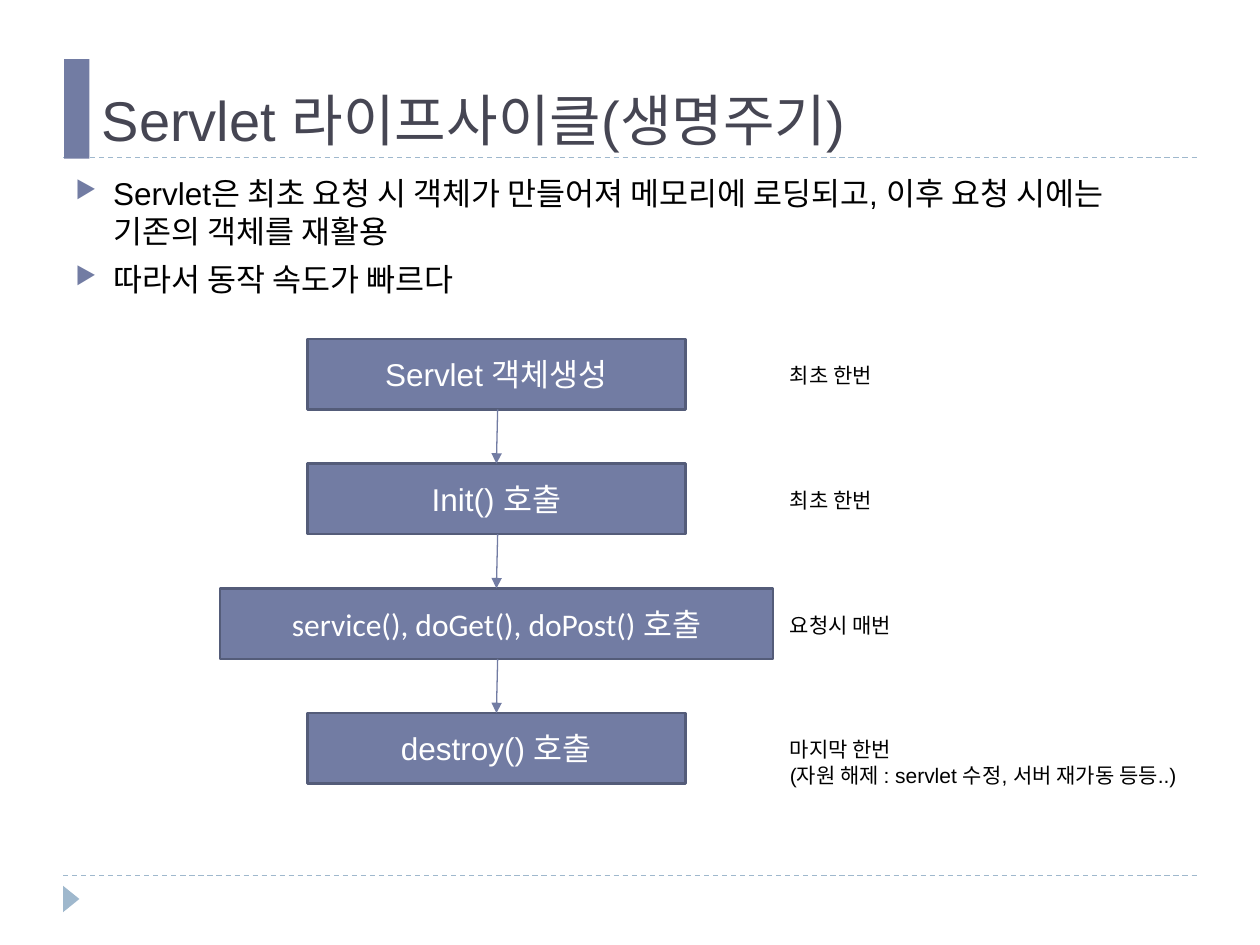
from dataclasses import dataclass

from lxml.etree import SubElement
from pptx import Presentation
from pptx.dml.color import RGBColor
from pptx.enum.dml import MSO_LINE
from pptx.enum.shapes import MSO_CONNECTOR, MSO_SHAPE
from pptx.enum.text import MSO_ANCHOR, PP_ALIGN
from pptx.oxml.ns import qn
from pptx.shapes.autoshape import Shape
from pptx.shapes.connector import Connector
from pptx.slide import Slide
from pptx.util import Inches, Pt


@dataclass(frozen=True)
class Theme:
    """Colours, fonts and type sizes of the slide."""
    accent: str = "727CA3"
    outline: str = "545C79"
    pale: str = "9FB8CD"
    heading: str = "464653"
    ink: str = "000000"
    paper: str = "FFFFFF"
    font: str = "Arial"
    code_font: str = "Calibri"
    title_size: int = 32
    body_size: int = 18
    note_size: int = 12


@dataclass(frozen=True)
class Stage:
    """One step of the life cycle and how often it runs."""
    call: str
    frequency: str
    width: float = 3
    note_width: float = 0.93
    note_height: float = 0.3
    font: str = "Arial"


THEME = Theme()
STAGES = [
    Stage("Servlet 객체생성", "최초 한번"),
    Stage("Init() 호출", "최초 한번"),
    Stage("service(), doGet(), doPost() 호출", "요청시 매번", 4.39, 1.26,
          font=THEME.code_font),
    Stage("destroy() 호출",
          "마지막 한번\n(자원 해제 : servlet 수정, 서버 재가동 등등..)",
          note_width=3.39, note_height=0.71),
]
POINTS = [
    "Servlet은 최초 요청 시 객체가 만들어져 메모리에 로딩되고, "
    "이후 요청 시에는 기존의 객체를 재활용",
    "따라서 동작 속도가 빠르다",
]
FLOW_CENTER, FLOW_TOP, STAGE_STEP, STAGE_HEIGHT = 3.94, 2.69, 0.99, 0.56
NOTE_LEFT, NOTE_DROP = 6.17, 0.14


def rgb(code: str) -> RGBColor:
    """Turn a hex code into a colour."""
    return RGBColor.from_string(code)


def write(holder: Shape, text: str, size: int, color: str,
          font: str = THEME.font) -> None:
    """Put text in a shape and format all its runs."""
    frame = holder.text_frame
    frame.text = text
    frame.word_wrap = True
    for paragraph in frame.paragraphs:
        for run in paragraph.runs:
            run.font.size = Pt(size)
            run.font.name = font
            run.font.color.rgb = rgb(color)


def add_text(slide: Slide, left: float, top: float, width: float,
             height: float, text: str, size: int, color: str) -> Shape:
    """Add a wrapped text box."""
    box = slide.shapes.add_textbox(
        Inches(left), Inches(top), Inches(width), Inches(height))
    write(box, text, size, color)
    return box


def add_block(slide: Slide, kind: MSO_SHAPE, left: float, top: float,
              width: float, height: float, fill: str) -> Shape:
    """Add a flat shape without an outline."""
    block = slide.shapes.add_shape(
        kind, Inches(left), Inches(top), Inches(width), Inches(height))
    block.shadow.inherit = False
    block.fill.solid()
    block.fill.fore_color.rgb = rgb(fill)
    block.line.fill.background()
    return block


def add_line(slide: Slide, x1: float, y1: float, x2: float, y2: float,
             color: str) -> Connector:
    """Add a thin straight line without a shadow."""
    line = slide.shapes.add_connector(
        MSO_CONNECTOR.STRAIGHT, Inches(x1), Inches(y1), Inches(x2), Inches(y2))
    line.line.color.rgb = rgb(color)
    line.line.width = Pt(0.75)
    SubElement(line.element.spPr, qn("a:effectLst"))
    return line


def add_frame(slide: Slide) -> None:
    """Draw the rules, the title bar and the corner marker."""
    for y in (6.95, 1.25):
        rule = add_line(slide, 0.5, y, 9.5, y, THEME.pale)
        rule.line.dash_style = MSO_LINE.DASH
    marker = add_block(slide, MSO_SHAPE.ISOSCELES_TRIANGLE,
                       0.46, 7.07, 0.21, 0.13, THEME.pale)
    marker.rotation = 90
    add_block(slide, MSO_SHAPE.RECTANGLE, 0.51, 0.47, 0.2, 0.79, THEME.accent)


def add_points(slide: Slide) -> None:
    """Write the bulleted explanation."""
    body = add_text(slide, 0.5, 1.33, 9, 1.2, "\n".join(POINTS),
                    THEME.body_size, THEME.ink)
    for paragraph in body.text_frame.paragraphs:
        paragraph.space_before = Pt(6)
        props = paragraph._p.get_or_add_pPr()
        props.set("marL", str(Inches(0.3)))
        props.set("indent", str(-Inches(0.3)))
        tint = SubElement(props, qn("a:buClr"))
        SubElement(tint, qn("a:srgbClr"), val=THEME.accent)
        SubElement(props, qn("a:buSzPct"), val="76000")
        SubElement(props, qn("a:buChar"), char="▶")


def add_stage(slide: Slide, stage: Stage, top: float) -> None:
    """Draw a stage box with its note on the right."""
    box = add_block(slide, MSO_SHAPE.RECTANGLE, FLOW_CENTER - stage.width / 2,
                    top, stage.width, STAGE_HEIGHT, THEME.accent)
    box.line.color.rgb = rgb(THEME.outline)
    box.line.width = Pt(1.5)
    write(box, stage.call, THEME.body_size, THEME.paper, stage.font)
    box.text_frame.vertical_anchor = MSO_ANCHOR.MIDDLE
    box.text_frame.paragraphs[0].alignment = PP_ALIGN.CENTER
    add_text(slide, NOTE_LEFT, top + NOTE_DROP, stage.note_width,
             stage.note_height, stage.frequency, THEME.note_size, THEME.ink)


def add_arrow(slide: Slide, top: float) -> None:
    """Draw the arrow that leads down to the stage at top."""
    arrow = add_line(slide, FLOW_CENTER + 0.01,
                     top - STAGE_STEP + STAGE_HEIGHT, FLOW_CENTER, top,
                     THEME.accent)
    SubElement(arrow.line._get_or_add_ln(), qn("a:tailEnd"), type="triangle")


def build() -> None:
    """Build and save the slide."""
    deck = Presentation()
    deck.slide_width, deck.slide_height = Inches(10), Inches(7.5)
    slide = deck.slides.add_slide(deck.slide_layouts[6])
    add_frame(slide)
    title = add_text(slide, 0.71, 0.47, 8.79, 0.79,
                     "Servlet 라이프사이클(생명주기)",
                     THEME.title_size, THEME.heading)
    title.text_frame.vertical_anchor = MSO_ANCHOR.BOTTOM
    add_points(slide)
    for index, stage in enumerate(STAGES):
        top = FLOW_TOP + index * STAGE_STEP
        add_stage(slide, stage, top)
        if index:
            add_arrow(slide, top)
    deck.save("out.pptx")


build()
